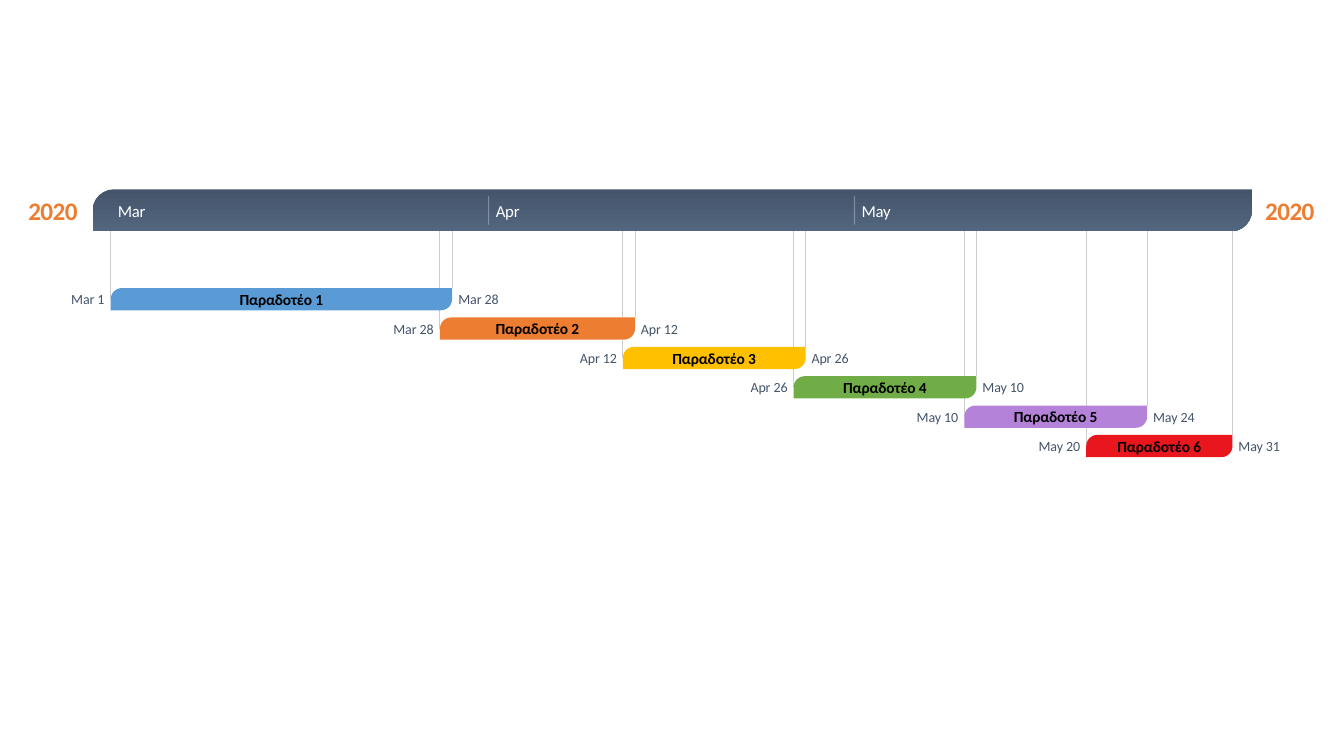
from dataclasses import dataclass

from lxml import etree
from pptx import Presentation
from pptx import util as u
from pptx.dml.color import RGBColor
from pptx.enum import shapes, text
from pptx.oxml.ns import qn


@dataclass(frozen=True)
class Theme:
    font: str = "Calibri"
    year: str = "ED7D31"
    band_top: str = "44546A"
    band_bottom: str = "52667F"
    band_text: str = "FFFFFF"
    guide: str = "CCCCCC"
    date: str = "44546A"
    name: str = "000000"
    year_size: float = 18
    month_size: float = 12
    name_size: float = 11
    date_size: float = 10
    line_width: float = 0.75


THEME = Theme()

# Text formats: font values, colour, letter spacing (hundredths of a point)
YEAR = ({"size": u.Pt(THEME.year_size), "bold": True}, THEME.year, -40)
MONTH = ({"size": u.Pt(THEME.month_size)}, THEME.band_text, -20)
NAME = ({"size": u.Pt(THEME.name_size), "bold": True}, THEME.name, -10)
DATE = ({"size": u.Pt(THEME.date_size)}, THEME.date, -5)

# Schedule: days elapsed at the start of each month, then bars in order
MONTH_STARTS = {"Mar": 0, "Apr": 31, "May": 61}
DELIVERABLES = [
    (("Mar", 1), ("Mar", 28), "5B9BD5"),
    (("Mar", 28), ("Apr", 12), "ED7D31"),
    (("Apr", 12), ("Apr", 26), "FFC000"),
    (("Apr", 26), ("May", 10), "70AD47"),
    (("May", 10), ("May", 24), "B582DA"),
    (("May", 20), ("May", 31), "EA161E"),
]

# Layout in centimetres
ORIGIN = 2.79
DAY_WIDTH = 28.27 / 92
BAND_LEFT, BAND_TOP, BAND_WIDTH, BAND_HEIGHT = 2.34, 4.77, 29.21, 1.06
BAND_BOTTOM = BAND_TOP + BAND_HEIGHT
BAND_MIDDLE = BAND_TOP + BAND_HEIGHT / 2
FIRST_BAR, BAR_PITCH, BAR_HEIGHT = 7.26, 0.74, 0.56
LABEL_GAP = 0.13
MONTH_WIDTHS = {"Mar": 0.71, "Apr": 0.61, "May": 0.74}
DATE_WIDTHS = {"Mar": 1.07, "Apr": 0.97, "May": 1.09}


def day_left(month, day):
    return ORIGIN + (MONTH_STARTS[month] + day - 1) * DAY_WIDTH


def bar_span(start, end):
    """Left and right edges; the last day is included."""
    return day_left(*start), day_left(*end) + DAY_WIDTH


def bar_top(row):
    return FIRST_BAR + row * BAR_PITCH


def add_label(slide, wording, left, middle, width, height, style, align="CENTER"):
    values, color, spacing = style
    box = slide.shapes.add_textbox(u.Cm(left), u.Cm(middle - height / 2),
                                   u.Cm(width), u.Cm(height))
    frame_format = {"margin_left": 0, "margin_right": 0, "margin_top": 0,
                    "margin_bottom": 0, "word_wrap": False,
                    "vertical_anchor": text.MSO_ANCHOR.MIDDLE}
    for key, value in frame_format.items():
        setattr(box.text_frame, key, value)
    paragraph = box.text_frame.paragraphs[0]
    paragraph.alignment = text.PP_ALIGN[align]
    run = paragraph.add_run()
    run.text = wording
    for key, value in {"name": THEME.font, **values}.items():
        setattr(run.font, key, value)
    run.font.color.rgb = RGBColor.from_string(color)
    run.font._element.set("spc", str(spacing))


def add_vertical(slide, left, top, bottom, color, opacity=None):
    line = slide.shapes.add_connector(shapes.MSO_CONNECTOR.STRAIGHT, u.Cm(left),
                                      u.Cm(top), u.Cm(left), u.Cm(bottom))
    line.line.width = u.Pt(THEME.line_width)
    line.line.color.rgb = RGBColor.from_string(color)
    properties = line._element.spPr
    if opacity:
        fill = properties.find(".//" + qn("a:srgbClr"))
        etree.SubElement(fill, qn("a:alpha")).set("val", str(opacity * 1000))
    etree.SubElement(properties, qn("a:effectLst"))


def add_rounded(slide, left, top, width, height):
    shape = slide.shapes.add_shape(shapes.MSO_SHAPE.ROUND_2_DIAG_RECTANGLE,
                                   u.Cm(left), u.Cm(top), u.Cm(width), u.Cm(height))
    shape.adjustments[0] = 1
    shape.shadow.inherit = False
    shape.line.fill.background()
    return shape


def add_guides(slide, row, start, end):
    """Guide lines from the band down to both ends of a bar."""
    left, right = bar_span(start, end)
    top, middle = bar_top(row), bar_top(row) + BAR_HEIGHT / 2
    add_vertical(slide, right, BAND_BOTTOM, top, THEME.guide)
    if row == 0:
        add_vertical(slide, left, BAND_BOTTOM, middle, THEME.guide)
    else:  # interrupted by the bar above
        above = bar_top(row - 1)
        add_vertical(slide, left, BAND_BOTTOM, above, THEME.guide)
        add_vertical(slide, left, above + BAR_HEIGHT, middle, THEME.guide)


def add_band(slide):
    band = add_rounded(slide, BAND_LEFT, BAND_TOP, BAND_WIDTH, BAND_HEIGHT)
    band.fill.gradient()
    band.fill.gradient_angle = 270
    for stop, color in zip(band.fill.gradient_stops,
                           (THEME.band_top, THEME.band_bottom)):
        stop.color.rgb = RGBColor.from_string(color)
    for month, elapsed in MONTH_STARTS.items():
        left = day_left(month, 1)
        add_label(slide, month, left + 0.18, BAND_MIDDLE + 0.01,
                  MONTH_WIDTHS[month], 0.51, MONTH, "LEFT")
        if elapsed:
            add_vertical(slide, left, BAND_MIDDLE - 0.36, BAND_MIDDLE + 0.36,
                         THEME.band_text, opacity=30)


def add_deliverable(slide, row, start, end, color):
    left, right = bar_span(start, end)
    middle = bar_top(row) + BAR_HEIGHT / 2
    bar = add_rounded(slide, left, bar_top(row), right - left, BAR_HEIGHT)
    bar.fill.solid()
    bar.fill.fore_color.rgb = RGBColor.from_string(color)

    for (month, day), is_start in ((start, True), (end, False)):
        width = DATE_WIDTHS[month] - (0.18 if day < 10 else 0)
        label_left = left - LABEL_GAP - width if is_start else right + LABEL_GAP
        add_label(slide, f"{month} {day}", label_left, middle, width, 0.43, DATE)
    add_label(slide, f"Παραδοτέο {row + 1}", (left + right) / 2 - 1.08, middle,
              2.16, 0.48, NAME)


def main():
    presentation = Presentation()
    presentation.slide_width, presentation.slide_height = u.Cm(33.87), u.Cm(19.05)
    slide = presentation.slides.add_slide(presentation.slide_layouts[6])

    # Years on both sides of the band
    for left in (0.71, 31.88):
        add_label(slide, "2020", left, BAND_MIDDLE, 1.25, 0.79, YEAR)

    # Guides lie behind the band and the bars
    for row, (start, end, _) in enumerate(DELIVERABLES):
        add_guides(slide, row, start, end)
    add_band(slide)
    for row, (start, end, color) in enumerate(DELIVERABLES):
        add_deliverable(slide, row, start, end, color)

    presentation.save("out.pptx")


main()
